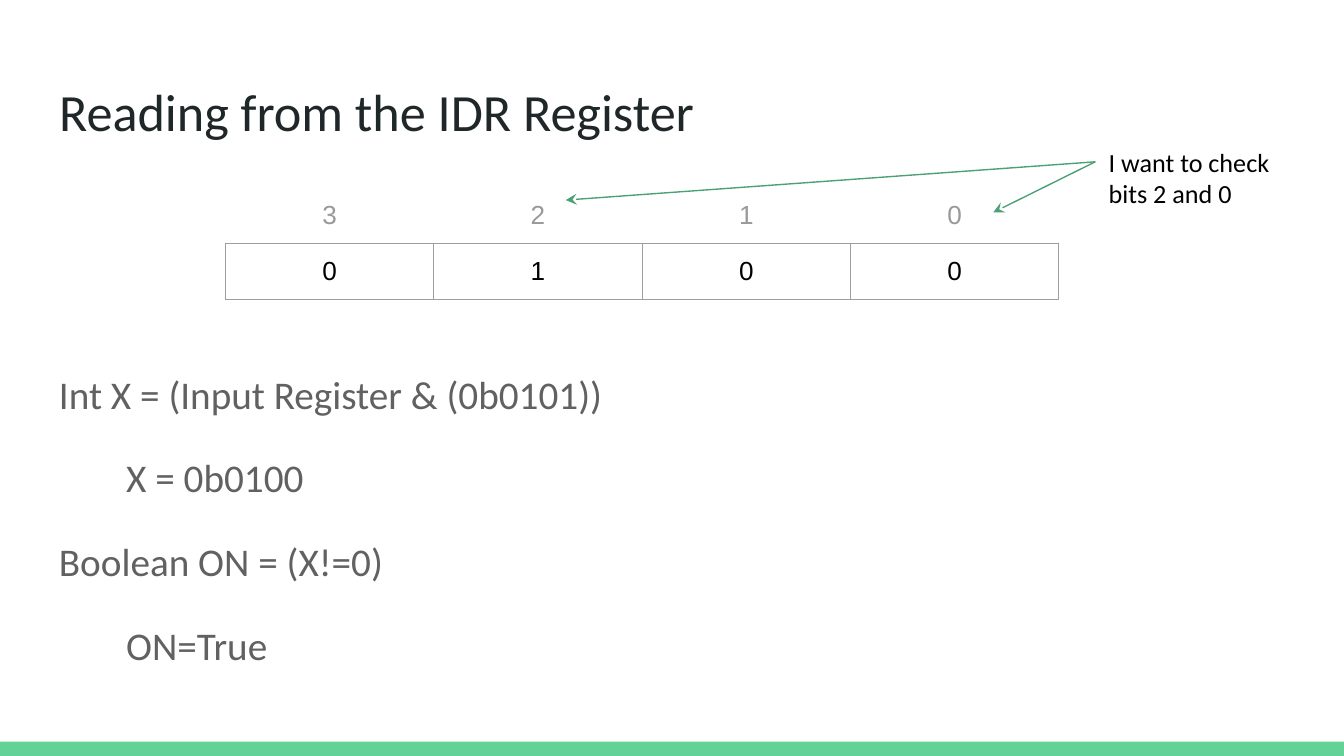
from dataclasses import dataclass

from lxml import etree
from pptx import Presentation
from pptx.dml.color import RGBColor
from pptx.enum.shapes import MSO_CONNECTOR, MSO_SHAPE
from pptx.enum.text import MSO_ANCHOR, MSO_AUTO_SIZE, PP_ALIGN
from pptx.oxml.ns import qn
from pptx.util import Pt

STRAIGHT = MSO_CONNECTOR.STRAIGHT
RECT = MSO_SHAPE.RECTANGLE
TOP = MSO_ANCHOR.TOP
NO_FIT = MSO_AUTO_SIZE.NONE
LEFT, CENTER = PP_ALIGN.LEFT, PP_ALIGN.CENTER
LEFT_SIDE = 1
TITLE_ONLY = 5
PLAIN_TABLE = "{2D5ABB26-0587-4C30-8999-92F81FD0307C}"


@dataclass(frozen=True)
class Theme:
    """Fonts, type sizes, colours and the common text inset."""
    text_font: str = "Calibri"
    bit_font: str = "Arial"
    title_size: float = 28
    body_size: float = 21
    small_size: float = 14
    title: str = "202729"
    body: str = "616161"
    black: str = "000000"
    index: str = "999999"
    border: str = "9E9E9E"
    arrow: str = "4BA173"
    bar: str = "63D297"
    line: float = 0.75
    inset: float = 7.2


THEME = Theme()


def set_font(p, name, size, color):
    """Format a whole paragraph."""
    p.font.name = name
    p.font.size = Pt(size)
    p.font.color.rgb = RGBColor.from_string(color)


def set_insets(target):
    """Give a text frame or table cell the common inset on every side."""
    for side in ("left", "top", "right", "bottom"):
        setattr(target, f"margin_{side}", Pt(THEME.inset))


def set_frame(tf):
    """Wrap text from the top of its box."""
    tf.word_wrap = True
    tf.auto_size = NO_FIT
    tf.vertical_anchor = TOP
    set_insets(tf)


def add_title(slide, box, text):
    """Place the title placeholder in the box."""
    sp = slide.shapes.title
    sp.left, sp.top, sp.width, sp.height = map(Pt, box)
    tf = sp.text_frame
    tf.text = text
    set_frame(tf)
    p = tf.paragraphs[0]
    p.alignment = LEFT
    set_font(p, THEME.text_font, THEME.title_size, THEME.title)


def add_code(slide, box, lines):
    """Write code lines, given as (text, first-line indent) pairs."""
    tf = slide.shapes.add_textbox(*map(Pt, box)).text_frame
    set_frame(tf)
    for i, (text, indent) in enumerate(lines):
        p = tf.add_paragraph() if i else tf.paragraphs[0]
        p.text = text
        p.line_spacing = 1.15
        p.space_before = Pt(16 if i else 0)
        pPr = p._p.get_or_add_pPr()
        pPr.set("marL", "0")
        pPr.set("indent", str(Pt(indent)))
        set_font(p, THEME.text_font, THEME.body_size, THEME.body)


def add_borders(cell):
    """Draw a thin line on all four sides of a cell."""
    tcPr = cell._tc.get_or_add_tcPr()
    for i, tag in enumerate(("a:lnL", "a:lnR", "a:lnT", "a:lnB")):
        ln = etree.Element(qn(tag), w=str(Pt(THEME.line)))
        fill = etree.SubElement(ln, qn("a:solidFill"))
        etree.SubElement(fill, qn("a:srgbClr"), val=THEME.border)
        tcPr.insert(i, ln)


def add_bits(slide, box, values, color, bordered=False):
    """Fill the box with a one-row table of equal columns."""
    frame = slide.shapes.add_table(1, len(values), *map(Pt, box))
    table = frame.table
    table.first_row = table.horz_banding = False
    table._tbl.tblPr.find(qn("a:tableStyleId")).text = PLAIN_TABLE
    for cell, value in zip(table.rows[0].cells, values):
        cell.text = value
        cell.fill.background()
        set_insets(cell)
        p = cell.text_frame.paragraphs[0]
        p.alignment = CENTER
        set_font(p, THEME.bit_font, THEME.small_size, color)
        if bordered:
            add_borders(cell)


def add_register(slide, box, indexes, values):
    """Stack the bit numbers over the bit values in the box."""
    left, top, width, height = box
    row = height / 2
    add_bits(slide, (left, top, width, row), indexes, THEME.index)
    add_bits(slide, (left, top + row, width, row), values, THEME.black, True)


def add_callout(slide, box, text, targets):
    """Write a note and point arrows from its left side to the targets."""
    sp = slide.shapes.add_textbox(*map(Pt, box))
    tf = sp.text_frame
    set_frame(tf)
    tf.text = text
    set_font(tf.paragraphs[0], THEME.text_font, THEME.small_size, THEME.black)
    left, top, _, height = box
    for x, y in targets:
        arrow = slide.shapes.add_connector(
            STRAIGHT, Pt(left), Pt(top + height / 2), Pt(x), Pt(y))
        arrow.begin_connect(sp, LEFT_SIDE)
        arrow.line.color.rgb = RGBColor.from_string(THEME.arrow)
        arrow.line.width = Pt(THEME.line)
        etree.SubElement(arrow.line._get_or_add_ln(), qn("a:tailEnd"),
                         type="stealth", w="med", len="med")
        etree.SubElement(arrow._element.spPr, qn("a:effectLst"))


def add_bar(slide, box):
    """Fill the box with the accent colour."""
    sp = slide.shapes.add_shape(RECT, *map(Pt, box))
    sp.shadow.inherit = False
    sp.fill.solid()
    sp.fill.fore_color.rgb = RGBColor.from_string(THEME.bar)
    sp.line.fill.background()


def main():
    """Build and save the slide."""
    prs = Presentation()
    prs.slide_width, prs.slide_height = Pt(720), Pt(405)
    slide = prs.slides.add_slide(prs.slide_layouts[TITLE_ONLY])
    add_bar(slide, (0, 397.4, 720, 7.6))
    add_title(slide, (24.5, 35.4, 671, 45.1), "Reading from the IDR Register")
    add_code(slide, (24.5, 187.2, 671, 141), [
        ("Int X = (Input Register & (0b0101))", 0),
        ("X = 0b0100", 36),
        ("Boolean ON = (X!=0)", 0),
        ("ON=True", 36),
    ])
    add_register(slide, (120.8, 100.2, 446.4, 60.4), "3210", "0100")
    add_callout(slide, (586.8, 71.2, 108.7, 31), "I want to check bits 2 and 0",
                [(303.1, 107.2), (532.1, 113.8)])
    prs.save("out.pptx")


if __name__ == "__main__":
    main()
